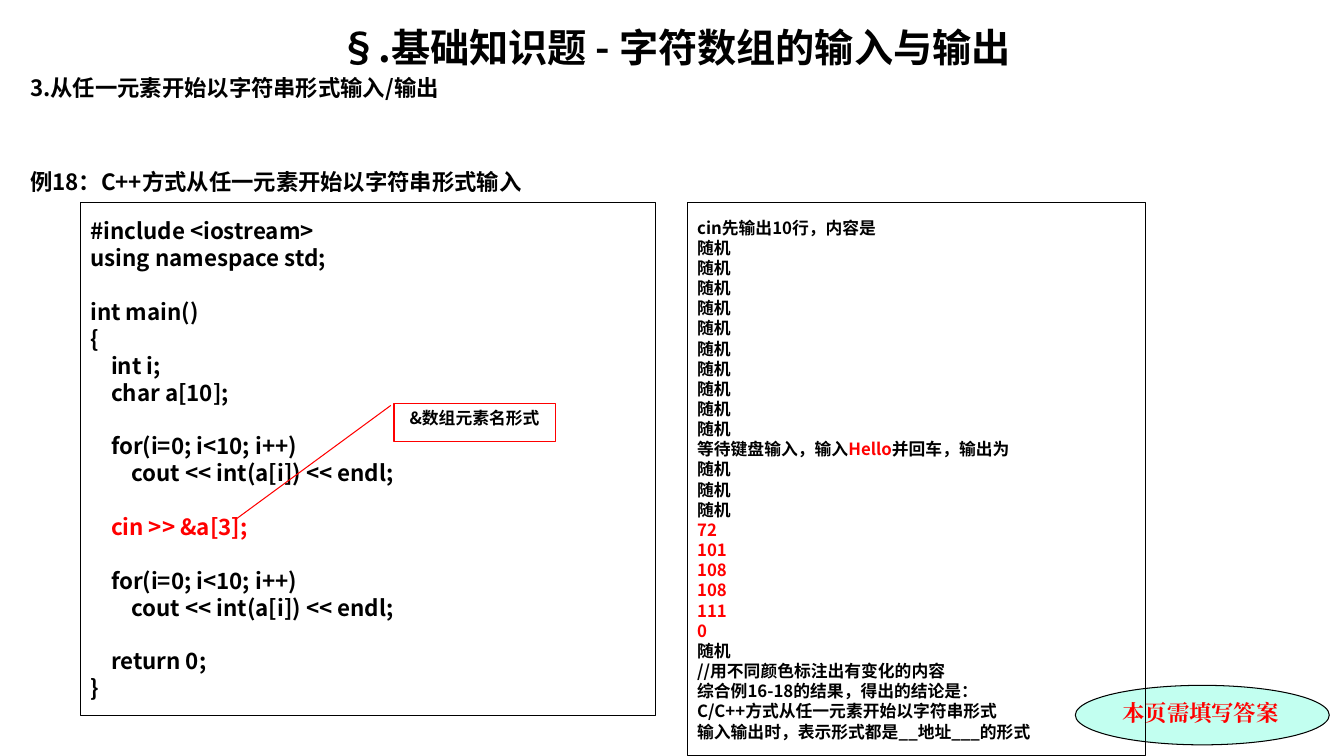
from pptx import Presentation
from pptx.dml.color import RGBColor
from pptx.enum.shapes import MSO_SHAPE
from pptx.enum.text import MSO_ANCHOR, PP_ALIGN
from pptx.oxml.ns import qn
from pptx.util import Cm, Pt
from lxml import etree

RECT, OVAL, CALLOUT = MSO_SHAPE.RECTANGLE, MSO_SHAPE.OVAL, MSO_SHAPE.LINE_CALLOUT_1
LEFT, CENTER = PP_ALIGN.LEFT, PP_ALIGN.CENTER
TOP, MIDDLE = MSO_ANCHOR.TOP, MSO_ANCHOR.MIDDLE
SANS, SERIF = "Noto Sans CJK SC", "Times New Roman"
BLACK, RED, MINT = "000000", "FF0000", "C2FFF0"

CODE = """#include <iostream>
using namespace std;

int main()
{
    int i;
    char a[10];

    for(i=0; i<10; i++)
        cout << int(a[i]) << endl;

    cin >> &a[3];

    for(i=0; i<10; i++)
        cout << int(a[i]) << endl;

    return 0;
}"""
RANDOM = [("随机", BLACK)]
OUTPUT = [
    [("cin先输出10行，内容是", BLACK)],
    *[RANDOM] * 10,
    [("等待键盘输入，输入", BLACK), ("Hello", RED), ("并回车，输出为", BLACK)],
    *[RANDOM] * 3,
    *[[(code, RED)] for code in ("72", "101", "108", "108", "111", "0")],
    RANDOM,
    [("//用不同颜色标注出有变化的内容", BLACK)],
    [("综合例16-18的结果，得出的结论是：", BLACK)],
    [("C/C++方式从任一元素开始以字符串形式", BLACK)],
    [("输入输出时，表示形式都是__地址___的形式", BLACK)],
]


def add_text(tf, text, size=16, color=BLACK, font=SANS, align=LEFT, gap=0, indent=0):
    p = tf.paragraphs[-1]
    if p.runs:
        p = tf.add_paragraph()
    p.alignment = align
    p.line_spacing = Pt(size * 1.2)
    p.space_before = Pt(gap)
    pPr = p._p.get_or_add_pPr()
    pPr.set("marL", str(indent))
    pPr.set("indent", "0")
    for part, part_color in [(text, color)] if isinstance(text, str) else text:
        r = p.add_run()
        r.text = part
        r.font.size = Pt(size)
        r.font.bold = True
        r.font.name = font
        r.font.color.rgb = RGBColor.from_string(part_color)
        etree.SubElement(r._r.rPr, qn("a:ea")).set("typeface", font)


def add_box(kind, left, top, width, height, fill=None, line=BLACK, anchor=TOP):
    sp = s.shapes.add_shape(kind, Cm(left), Cm(top), Cm(width), Cm(height))
    sp.shadow.inherit = False
    if fill:
        sp.fill.solid()
        sp.fill.fore_color.rgb = RGBColor.from_string(fill)
    else:
        sp.fill.background()
    sp.line.color.rgb = RGBColor.from_string(line)
    sp.line.width = Pt(0.75)
    sp.text_frame.word_wrap = True
    sp.text_frame.vertical_anchor = anchor
    return sp


prs = Presentation()
prs.slide_width, prs.slide_height = Cm(33.87), Cm(19.05)
s = prs.slides.add_slide(prs.slide_layouts[5])

title = s.shapes.title
title.left, title.top, title.width, title.height = Cm(0.51), Cm(0.46), Cm(33), Cm(1.45)
title.text_frame.vertical_anchor = TOP
add_text(title.text_frame, "§.基础知识题 - 字符数组的输入与输出", size=28, align=CENTER)

for top, heading in (
    (1.75, "3.从任一元素开始以字符串形式输入/输出"),
    (4.11, "例18：C++方式从任一元素开始以字符串形式输入"),
):
    tb = s.shapes.add_textbox(Cm(0.51), Cm(top), Cm(33), Cm(0.9))
    tb.text_frame.word_wrap = True
    add_text(tb.text_frame, heading)

note = add_box(OVAL, 27.1, 17.27, 6.4, 1.5, fill=MINT)
add_text(note.text_frame, "本页需填写答案", color=RED, font=SERIF)

code_box = add_box(RECT, 2.03, 5.11, 14.48, 12.93, anchor=MIDDLE)
gap = 0
for line in CODE.splitlines():
    text = line.lstrip()
    if not text:
        gap = 19.2
        continue
    level = (len(line) - len(text)) // 4
    color = RED if text.startswith("cin") else BLACK
    add_text(code_box.text_frame, text, color=color, gap=gap, indent=Cm(0.52 * level))
    gap = 0

output_box = add_box(RECT, 17.32, 5.11, 11.56, 13.94, anchor=MIDDLE)
for runs in OUTPUT:
    add_text(output_box.text_frame, runs, size=12)

callout = add_box(CALLOUT, 9.93, 10.16, 4.06, 0.97, line=RED)
for i, value in enumerate((0.06, -0.02, 3.01, -0.98)):
    callout.adjustments[i] = value
callout.text_frame.margin_left = callout.text_frame.margin_right = Cm(0.1)
add_text(callout.text_frame, "&数组元素名形式", size=12, align=CENTER)

prs.save("out.pptx")
